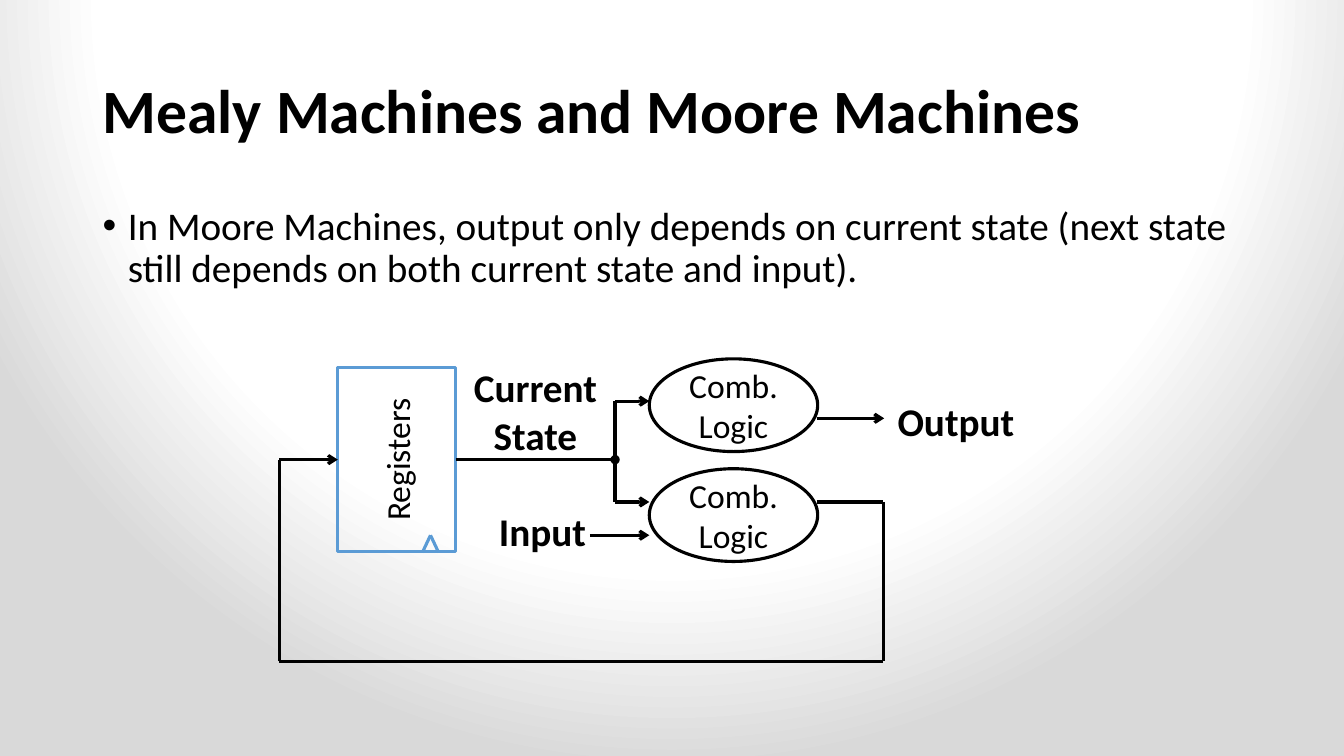
import lxml.etree
import pptx
import pptx.dml.color
import pptx.enum.shapes
import pptx.enum.text
import pptx.oxml.ns
import pptx.util

Inches = pptx.util.Inches
Pt = pptx.util.Pt
qn = pptx.oxml.ns.qn
RGBColor = pptx.dml.color.RGBColor
Align = pptx.enum.text.PP_ALIGN
Anchor = pptx.enum.text.MSO_ANCHOR
Shape = pptx.enum.shapes.MSO_SHAPE

BLACK = RGBColor(0x00, 0x00, 0x00)
BLUE = RGBColor(0x5B, 0x9B, 0xD5)
WHITE = RGBColor(0xFF, 0xFF, 0xFF)
GREY = RGBColor(0xD9, 0xD9, 0xD9)
STROKE = Pt(2.25)


def paint_background(page):
    """Fill the page with a circular gradient centred above its top edge."""
    page.background.fill.gradient()
    gradient = next(page.element.iter(qn("a:gradFill")))
    for child in list(gradient):
        gradient.remove(child)
    stops = lxml.etree.SubElement(gradient, qn("a:gsLst"))
    for position, color in ((0, WHITE), (74, WHITE), (100, GREY)):
        stop = lxml.etree.SubElement(stops, qn("a:gs"), pos=str(position * 1000))
        lxml.etree.SubElement(stop, qn("a:srgbClr"), val=str(color))
    circle = lxml.etree.SubElement(gradient, qn("a:path"), path="circle")
    lxml.etree.SubElement(circle, qn("a:fillToRect"), l="50000", t="-80000", r="50000", b="180000")


def write(frame, text, size, bold=False, align=Align.LEFT):
    """Put one formatted paragraph into a text frame and return it."""
    frame.word_wrap = True
    para = frame.paragraphs[0]
    para.text = text
    para.alignment = align
    for span in para.runs:
        span.font.name = "Calibri"
        span.font.size = Pt(size)
        span.font.bold = bold
        span.font.color.rgb = BLACK
    return para


def add_text(page, bounds, text, size, **style):
    """Add a text box and return its text frame."""
    box = page.shapes.add_textbox(*map(Inches, bounds))
    write(box.text_frame, text, size, **style)
    return box.text_frame


def add_title(page, text):
    """Add the slide title."""
    frame = add_text(page, (0.92, 0.4, 11.5, 1.45), text, 44, bold=True)
    frame.vertical_anchor = Anchor.MIDDLE
    frame.paragraphs[0].line_spacing = 0.9


def add_bullet(page, text):
    """Add the bulleted statement under the title."""
    frame = add_text(page, (0.92, 2, 11.5, 4.76), text, 28)
    para = frame.paragraphs[0]
    para.line_spacing = 0.9
    para.space_before = Pt(10)
    properties = next(frame.paragraphs[0].runs[0].font.fill and page.shapes[-1].element.iter(qn("a:pPr")))
    properties.set("marL", str(Inches(0.25)))
    properties.set("indent", str(Inches(-0.25)))
    lxml.etree.SubElement(properties, qn("a:buFont"), typeface="Arial")
    lxml.etree.SubElement(properties, qn("a:buChar"), char="•")


def add_label(page, bounds, text, align):
    """Add a bold signal name."""
    frame = add_text(page, bounds, text, 28, bold=True, align=align)
    frame.auto_size = pptx.enum.text.MSO_AUTO_SIZE.SHAPE_TO_FIT_TEXT


def add_block(page, kind, bounds, text, color):
    """Add an outlined circuit block with centred text."""
    block = page.shapes.add_shape(kind, *map(Inches, bounds))
    block.shadow.inherit = False
    block.fill.background()
    block.line.color.rgb = color
    block.line.width = STROKE
    write(block.text_frame, text, 24, align=Align.CENTER)
    block.text_frame.vertical_anchor = Anchor.MIDDLE
    return block


def add_wire(page, start, end, tail=None, color=BLACK):
    """Add a straight wire, with an optional marker at its end."""
    wire = page.shapes.add_connector(
        pptx.enum.shapes.MSO_CONNECTOR.STRAIGHT, *map(Inches, start + end))
    wire.line.color.rgb = color
    wire.line.width = STROKE
    if tail:
        lxml.etree.SubElement(wire.line._get_or_add_ln(), qn("a:tailEnd"), type=tail)
    lxml.etree.SubElement(wire.element.spPr, qn("a:effectLst"))
    return wire


def add_registers(page):
    """Add the register block with its clock notch."""
    registers = add_block(page, Shape.RECTANGLE, (3.35, 3.65, 1.17, 1.82), "Registers", BLUE)
    registers.element.txBody.bodyPr.set("vert", "vert270")
    for foot in (4.19, 4.35):
        add_wire(page, (foot, 5.48), (4.27, 5.31), color=BLUE)
    return registers


def add_wires(page, registers):
    """Connect the registers, the logic blocks and the signals."""
    state = add_wire(page, (4.52, 4.56), (6.1, 4.56), "oval")
    state.begin_connect(registers, 3)
    add_wire(page, (6.1, 3.98), (6.1, 4.98))
    for height in (3.98, 4.98):
        add_wire(page, (6.1, height), (6.44, height), "arrow")
    add_wire(page, (5.85, 5.31), (6.44, 5.31), "arrow")
    add_wire(page, (8.1, 4.15), (8.77, 4.15), "arrow")
    corners = [(8.1, 4.98), (8.76, 4.98), (8.76, 6.56), (2.77, 6.56), (2.77, 4.56)]
    for start, end in zip(corners, corners[1:]):
        add_wire(page, start, end)
    feedback = add_wire(page, corners[-1], (3.35, 4.56), "arrow")
    feedback.end_connect(registers, 1)


def main():
    """Build the slide and save it."""
    deck = pptx.Presentation()
    deck.slide_width = Inches(13.33)
    deck.slide_height = Inches(7.5)
    page = deck.slides.add_slide(deck.slide_layouts[6])
    paint_background(page)
    add_title(page, "Mealy Machines and Moore Machines")
    add_bullet(page, "In Moore Machines, output only depends on current state "
                     "(next state still depends on both current state and input).")
    add_label(page, (4.35, 3.56, 1.92, 1.04), "Current State", Align.CENTER)
    add_label(page, (4.85, 4.98, 1.25, 0.57), "Input", Align.LEFT)
    add_label(page, (8.44, 3.89, 2.08, 0.57), "Output", Align.CENTER)
    registers = add_registers(page)
    for top in (3.56, 4.65):
        add_block(page, Shape.OVAL, (6.44, top, 1.67, 0.92), "Comb.\nLogic", BLACK)
    add_wires(page, registers)
    deck.save("out.pptx")


if __name__ == "__main__":
    main()
